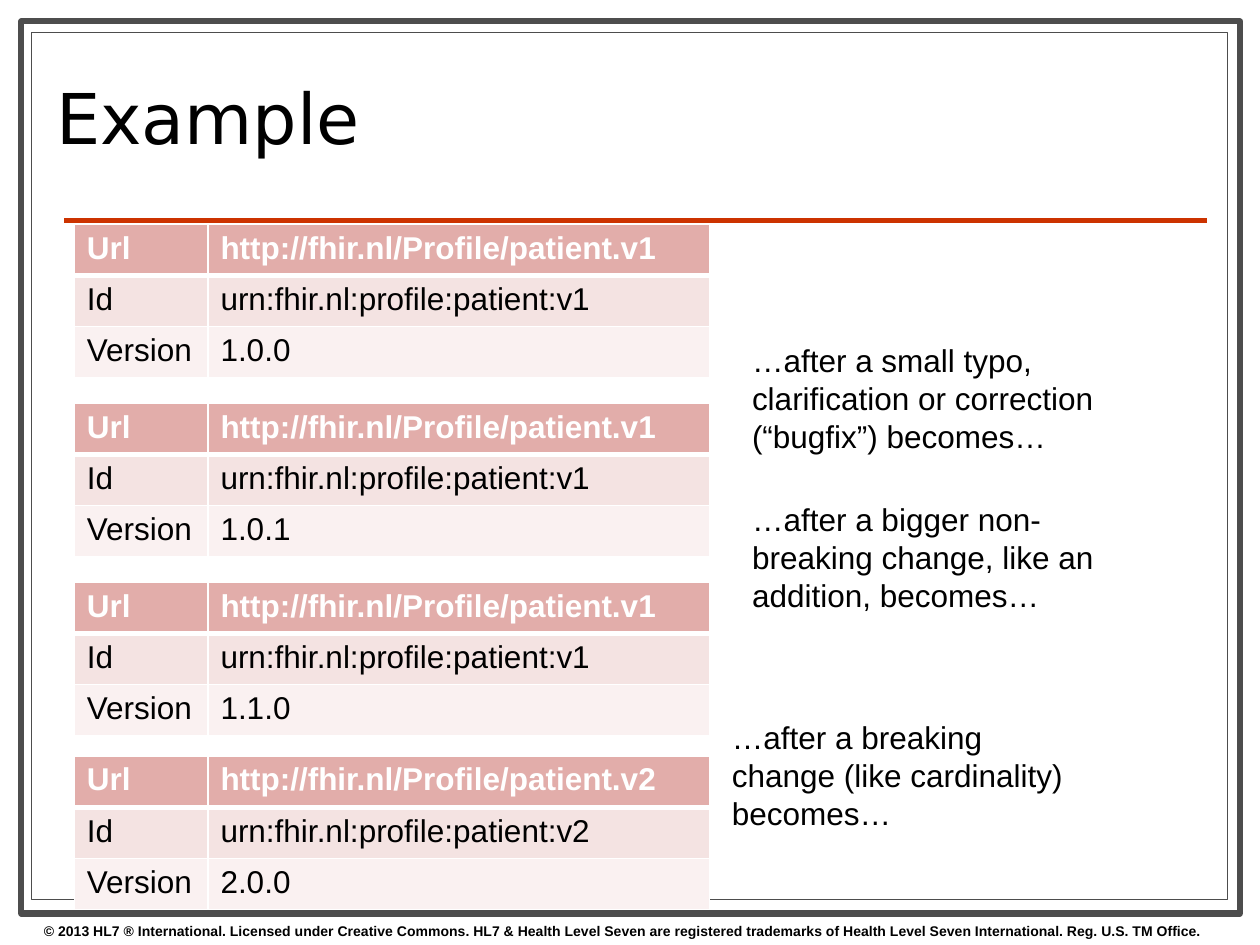
from dataclasses import dataclass
from typing import Any

from lxml import etree
from pptx import Presentation
from pptx.dml.color import RGBColor
from pptx.enum.shapes import MSO_CONNECTOR, MSO_SHAPE
from pptx.enum.text import MSO_ANCHOR
from pptx.oxml.ns import qn
from pptx.util import Inches, Pt

RECTANGLE = MSO_SHAPE.RECTANGLE
STRAIGHT = MSO_CONNECTOR.STRAIGHT
TOP, MIDDLE = MSO_ANCHOR.TOP, MSO_ANCHOR.MIDDLE
COLUMNS, ROWS = 100, 75
SMALL_STEP, BIG_STEP = 14.2, 13.8


def color(value):
    """Turn a hex string into a colour."""
    return RGBColor.from_string(value)


def write(frame, text, size=18, font="Arial", ink="000000", bold=False, spacing=None):
    """Put formatted text into the first paragraph of a frame."""
    para = frame.paragraphs[0]
    para.line_spacing = spacing
    span = para.add_run()
    span.text = text
    span.font.size = Pt(size)
    span.font.name = font
    span.font.bold = bold
    span.font.color.rgb = color(ink)


def set_borders(cell, widths, ink):
    """Draw the left, right, top and bottom borders of a cell."""
    properties = cell._tc.get_or_add_tcPr()
    for index, (side, width) in enumerate(zip("LRTB", widths)):
        border = etree.Element(qn(f"a:ln{side}"), w=str(Pt(width)))
        fill = etree.SubElement(border, qn("a:solidFill"))
        etree.SubElement(fill, qn("a:srgbClr"), val=ink)
        properties.insert(index, border)


@dataclass
class Painter:
    """Style and current slide, with lengths in grid columns and rows."""

    deck: Any
    page: Any
    frame_ink: str = "4D4D4D"
    accent: str = "CC3300"
    paper: str = "FFFFFF"
    row_fills: tuple = ("E2ADAA", "F4E3E2", "FAF1F1")

    def place(self, left, top, width, height):
        """Convert grid units into slide lengths."""
        column = self.deck.slide_width / COLUMNS
        row = self.deck.slide_height / ROWS
        return [int(n) for n in (left * column, top * row, width * column, height * row)]

    def frame(self, left, top, width, height, weight):
        """Add a bordered page frame."""
        shape = self.page.shapes.add_shape(RECTANGLE, *self.place(left, top, width, height))
        shape.shadow.inherit = False
        shape.fill.solid()
        shape.fill.fore_color.rgb = color(self.paper)
        shape.line.color.rgb = color(self.frame_ink)
        shape.line.width = Pt(weight)

    def rule(self, left, right, top):
        """Add a horizontal accent line."""
        x, y, width, _ = self.place(left, top, right - left, 0)
        line = self.page.shapes.add_connector(STRAIGHT, x, y, x + width, y)
        line.line.color.rgb = color(self.accent)
        line.line.width = Pt(3)
        etree.SubElement(line._element.spPr, qn("a:effectLst"))

    def text(self, left, top, width, height, words, anchor=TOP, **style):
        """Add a wrapped text box."""
        box = self.page.shapes.add_textbox(*self.place(left, top, width, height))
        box.text_frame.word_wrap = True
        box.text_frame.vertical_anchor = anchor
        write(box.text_frame, words, **style)

    def profile(self, top, major, version):
        """Add the table that identifies one version of a profile."""
        entries = (
            ("Url", f"http://fhir.nl/Profile/patient.v{major}"),
            ("Id", f"urn:fhir.nl:profile:patient:v{major}"),
            ("Version", version),
        )
        place = self.place(5.9, top, 50.4, 12.2)
        table = self.page.shapes.add_table(len(entries), 2, *place).table
        table.first_row = table.horz_banding = False
        for column, width in zip(table.columns, (1.06, 3.98)):
            column.width = Inches(width)
        for r, entry in enumerate(entries):
            header = r == 0
            widths = (1, 1, 3 if r == 1 else 1, 3 if header else 1)
            for c, words in enumerate(entry):
                cell = table.cell(r, c)
                cell.fill.solid()
                cell.fill.fore_color.rgb = color(self.row_fills[r])
                set_borders(cell, widths, self.paper)
                ink = self.paper if header else "000000"
                write(cell.text_frame, words, ink=ink, bold=header)


def main():
    """Build the slide and save it."""
    deck = Presentation()
    deck.slide_width, deck.slide_height = Inches(10), Inches(7.5)
    painter = Painter(deck, deck.slides.add_slide(deck.slide_layouts[6]))

    painter.frame(1.7, 1.7, 96.7, 70.8, 3.5)
    painter.frame(2.5, 2.6, 94.9, 68.8, 0.75)
    painter.rule(5.1, 95.8, 17.5)
    painter.text(
        2.5, 72.7, 97.5, 2.3,
        "© 2013 HL7 ® International. Licensed under Creative Commons. "
        "HL7 & Health Level Seven are registered trademarks of "
        "Health Level Seven International. Reg. U.S. TM Office.",
        size=8, bold=True,
    )
    painter.text(3.5, 3.6, 71.7, 12.6, "Example", anchor=MIDDLE,
                 size=40, font="DejaVu Sans", spacing=0.8)

    for index, version in enumerate(("1.0.0", "1.0.1", "1.1.0")):
        painter.profile(17.8 + index * SMALL_STEP, 1, version)
    painter.profile(17.8 + 2 * SMALL_STEP + BIG_STEP, 2, "2.0.0")

    for left, top, words in (
        (58.7, 26.6, "…after a small typo, clarification or correction (“bugfix”) becomes…"),
        (58.7, 39.2, "…after a bigger non-breaking change, like an addition, becomes…"),
        (57.1, 56.5, "…after a breaking change (like cardinality) becomes…"),
    ):
        painter.text(left, top, 29.9, 10.1, words)

    deck.save("out.pptx")


if __name__ == "__main__":
    main()
